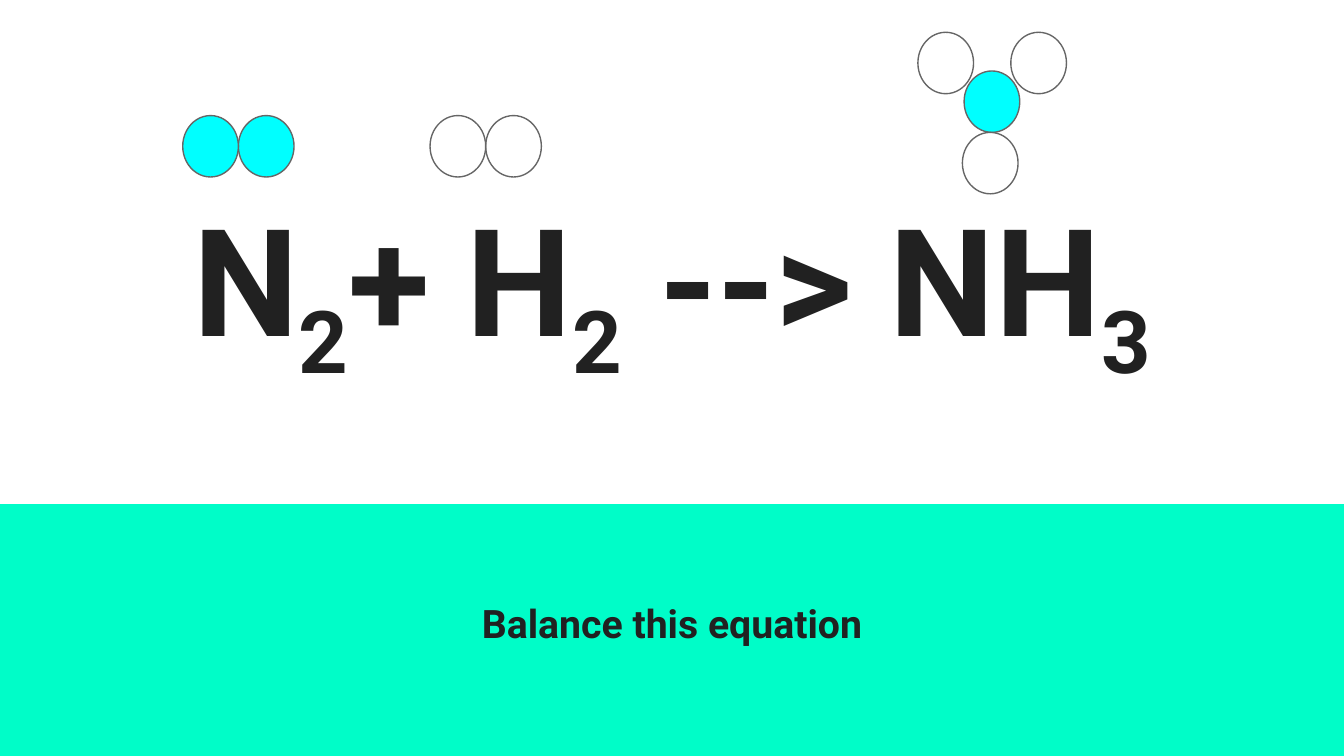
import collections

import pptx
import pptx.dml.color
import pptx.enum.shapes
import pptx.enum.text
import pptx.util

COLORS = {
    "mint": "00FDC8",
    "white": "FFFFFF",
    "ink": "212121",
    "outline": "666666",
    "nitrogen": "00FFFF",
    "hydrogen": "FFFFFF",
}
COLUMNS, ROWS = 100, 56.25
CELL = pptx.util.Inches(10) / COLUMNS
ATOM_WIDTH, ATOM_HEIGHT = 4.14, 4.57

Box = collections.namedtuple("Box", "left top width height")

# Each atom: element, then its offset in atom widths and atom heights.
NITROGEN_PAIR = [("nitrogen", 1, 0), ("nitrogen", 0, 0)]
HYDROGEN_PAIR = [("hydrogen", 1, 0), ("hydrogen", 0, 0)]
AMMONIA = [
    ("nitrogen", 0.83, 0.63),
    ("hydrogen", 0.8, 1.63),
    ("hydrogen", 0, 0),
    ("hydrogen", 1.67, 0),
]


def color(name):
    return pptx.dml.color.RGBColor.from_string(COLORS[name])


def emu(box):
    """Turn grid cells into slide lengths."""
    return [round(cells * CELL) for cells in box]


def add_filled(page, kind, box, fill, line=None):
    shape = page.shapes.add_shape(kind, *emu(box))
    shape.shadow.inherit = False
    shape.fill.solid()
    shape.fill.fore_color.rgb = color(fill)
    if line:
        shape.line.color.rgb = color(line)
        shape.line.width = pptx.util.Pt(0.75)
    else:
        shape.line.fill.background()


def add_centred_text(page, box, spans, size):
    """Write (text, is_subscript) spans on one line in the middle of the box."""
    frame = page.shapes.add_textbox(*emu(box)).text_frame
    inset = round(CELL)
    layout = {
        "word_wrap": True,
        "vertical_anchor": pptx.enum.text.MSO_ANCHOR.MIDDLE,
        "margin_left": inset,
        "margin_right": inset,
        "margin_top": inset,
        "margin_bottom": inset,
    }
    for name, value in layout.items():
        setattr(frame, name, value)
    para = frame.paragraphs[0]
    para.alignment = pptx.enum.text.PP_ALIGN.CENTER
    style = {"name": "Roboto", "size": pptx.util.Pt(size), "bold": True}
    for text, is_subscript in spans:
        span = para.add_run()
        span.text = text
        for name, value in style.items():
            setattr(span.font, name, value)
        span.font.color.rgb = color("ink")
        if is_subscript:
            span._r.get_or_add_rPr().set("baseline", "-25000")


def add_molecule(page, left, top, atoms):
    for element, across, down in atoms:
        box = Box(left + across * ATOM_WIDTH, top + down * ATOM_HEIGHT,
                  ATOM_WIDTH, ATOM_HEIGHT)
        add_filled(page, pptx.enum.shapes.MSO_SHAPE.OVAL, box, element, "outline")


def add_equation_panel(page, box):
    add_filled(page, pptx.enum.shapes.MSO_SHAPE.RECTANGLE, box, "white")
    equation = [("N", False), ("2", True), ("+ H", False), ("2", True),
                (" --> NH", False), ("3", True)]
    title = Box(box.left + 3.4, box.top + 6.8, box.width - 6.8, 29.4)
    add_centred_text(page, title, equation, 80)
    for left, top, atoms in [(32, 8.6, HYDROGEN_PAIR),
                             (13.6, 8.6, NITROGEN_PAIR),
                             (68.3, 2.4, AMMONIA)]:
        add_molecule(page, box.left + left, box.top + top, atoms)


def add_task_band(page, box):
    task = Box(box.left + 3.4, box.top + 5, box.width - 6.8, 7.7)
    add_centred_text(page, task, [("Balance this equation", False)], 21)


def main():
    deck = pptx.Presentation()
    deck.slide_width = round(COLUMNS * CELL)
    deck.slide_height = round(ROWS * CELL)
    page = deck.slides.add_slide(deck.slide_layouts[6])
    page.background.fill.solid()
    page.background.fill.fore_color.rgb = color("mint")
    panel_height = ROWS * 2 / 3
    add_equation_panel(page, Box(0, 0, COLUMNS, panel_height))
    add_task_band(page, Box(0, panel_height, COLUMNS, ROWS - panel_height))
    deck.save("out.pptx")


if __name__ == "__main__":
    main()
